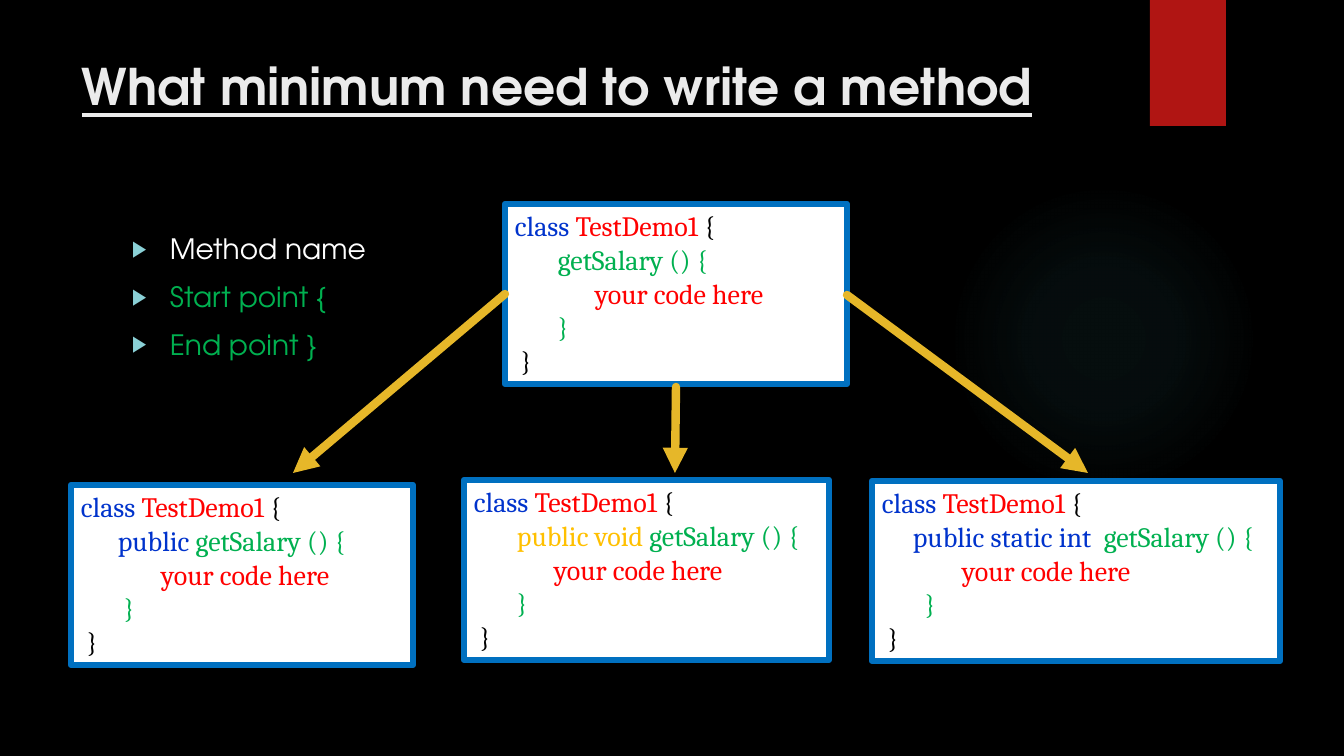
from lxml.etree import SubElement
from pptx import Presentation
from pptx.dml.color import RGBColor
from pptx.enum.shapes import MSO_CONNECTOR as CONNECTOR, MSO_SHAPE as SHAPE
from pptx.enum.text import MSO_ANCHOR as ANCHOR, PP_ALIGN as ALIGN
from pptx.oxml import parse_xml
from pptx.oxml.ns import nsdecls, qn
from pptx.util import Pt

PX = 914400 / 100.8
BLUE, RED, GREEN, GOLD, BLACK = "0033CC", "FF0000", "00B050", "FFC000", "000000"
TITLE_FONT, CODE_FONT = "TeX Gyre Adventor", "Cambria"


def px(*lengths):
    return [round(length * PX) for length in lengths]


def rgb(color):
    return RGBColor.from_string(color)


presentation = Presentation()
presentation.slide_width, presentation.slide_height = px(1344, 756)
slide = presentation.slides.add_slide(presentation.slide_layouts[6])
slide.background.fill.solid()
slide.background.fill.fore_color.rgb = rgb(BLACK)
shapes = slide.shapes

glow = shapes.add_shape(SHAPE.OVAL, *px(949, 184, 310, 310))
glow.shadow.inherit = False
glow.line.fill.background()
stops = "".join(
    f'<a:gs pos="{position}000"><a:srgbClr val="50B9C1"><a:alpha val="{alpha}000"/></a:srgbClr></a:gs>'
    for position, alpha in [(0, 7), (36, 6), (69, 0)]
)
glow.fill.background()
glow_fill = glow._element.spPr.find(qn("a:noFill"))
glow_fill.getparent().replace(glow_fill, parse_xml(
    f'<a:gradFill {nsdecls("a")}><a:gsLst>{stops}</a:gsLst><a:path path="circle">'
    '<a:fillToRect l="50000" t="50000" r="50000" b="50000"/></a:path></a:gradFill>'
))

ribbon = shapes.add_shape(SHAPE.RECTANGLE, *px(1150, 0, 76, 126))
ribbon.shadow.inherit = False
ribbon.fill.solid()
ribbon.fill.fore_color.rgb = rgb("B01513")
ribbon.line.fill.background()

title = shapes.add_textbox(*px(72, 50, 1037, 154))
title.text_frame.word_wrap = True
paragraph = title.text_frame.paragraphs[0]
paragraph.text = "What minimum need to write a method"
paragraph.font.name = TITLE_FONT
paragraph.font.size = Pt(36)
paragraph.font.bold = True
paragraph.font.underline = True
paragraph.font.color.rgb = rgb("EBEBEB")

needs = [("Method name", "FFFFFF"), ("Start point {", GREEN), ("End point }", GREEN)]
body = shapes.add_textbox(*px(122, 227, 986, 463))
body.text_frame.word_wrap = True
for index, (need, color) in enumerate(needs):
    paragraph = body.text_frame.paragraphs[0] if index == 0 else body.text_frame.add_paragraph()
    paragraph.text = need
    paragraph.space_before = Pt(10)
    paragraph.font.name = TITLE_FONT
    paragraph.font.size = Pt(20)
    paragraph.font.color.rgb = rgb(color)
    properties = paragraph._p.get_or_add_pPr()
    [indent] = px(38)
    properties.set("marL", str(indent))
    properties.set("indent", str(-indent))
    bullet_color = SubElement(properties, qn("a:buClr"))
    SubElement(bullet_color, qn("a:srgbClr"), val="8AD0D6")
    SubElement(properties, qn("a:buSzPct"), val="80000")
    SubElement(properties, qn("a:buFont"), typeface="Arial")
    SubElement(properties, qn("a:buChar"), char="▶")

code_boxes = [
    (505, 204, 342, 43, []),
    (872, 481, 408, 31, [("public static int  ", BLUE)]),
    (464, 480, 365, 43, [("public void ", GOLD)]),
    (71, 485, 342, 37, [("public ", BLUE)]),
]
for left, top, width, method_indent, modifiers in code_boxes:
    box = shapes.add_shape(SHAPE.RECTANGLE, *px(left, top, width, 180))
    box.shadow.inherit = False
    box.fill.solid()
    box.fill.fore_color.rgb = rgb("FFFFFF")
    box.line.color.rgb = rgb("0070C0")
    box.line.width = Pt(4.5)
    frame = box.text_frame
    frame.word_wrap = True
    frame.vertical_anchor = ANCHOR.TOP
    code_lines = [
        (0, [("class ", BLUE), ("TestDemo1", RED), (" {", BLACK)]),
        (method_indent, modifiers + [("getSalary () {", GREEN)]),
        (80, [("your code here", RED)]),
        (43, [("}", GREEN)]),
        (6, [("}", BLACK)]),
    ]
    for index, (indent, pieces) in enumerate(code_lines):
        paragraph = frame.paragraphs[0] if index == 0 else frame.add_paragraph()
        paragraph.alignment = ALIGN.LEFT
        paragraph.font.name = CODE_FONT
        paragraph.font.size = Pt(20)
        paragraph._p.get_or_add_pPr().set("marL", str(px(indent)[0]))
        for text, color in pieces:
            run = paragraph.add_run()
            run.text = text
            run.font.color.rgb = rgb(color)

arrows = [(505, 294, 293, 473), (676, 387, 675, 473), (847, 295, 1088, 473)]
for ends in arrows:
    arrow = shapes.add_connector(CONNECTOR.STRAIGHT, *px(*ends))
    arrow.line.color.rgb = rgb("E6B729")
    arrow.line.width = Pt(6)
    line = arrow._element.spPr.find(qn("a:ln"))
    line.set("cap", "rnd")
    SubElement(line, qn("a:tailEnd"), type="triangle")
    SubElement(arrow._element.spPr, qn("a:effectLst"))

presentation.save("out.pptx")
